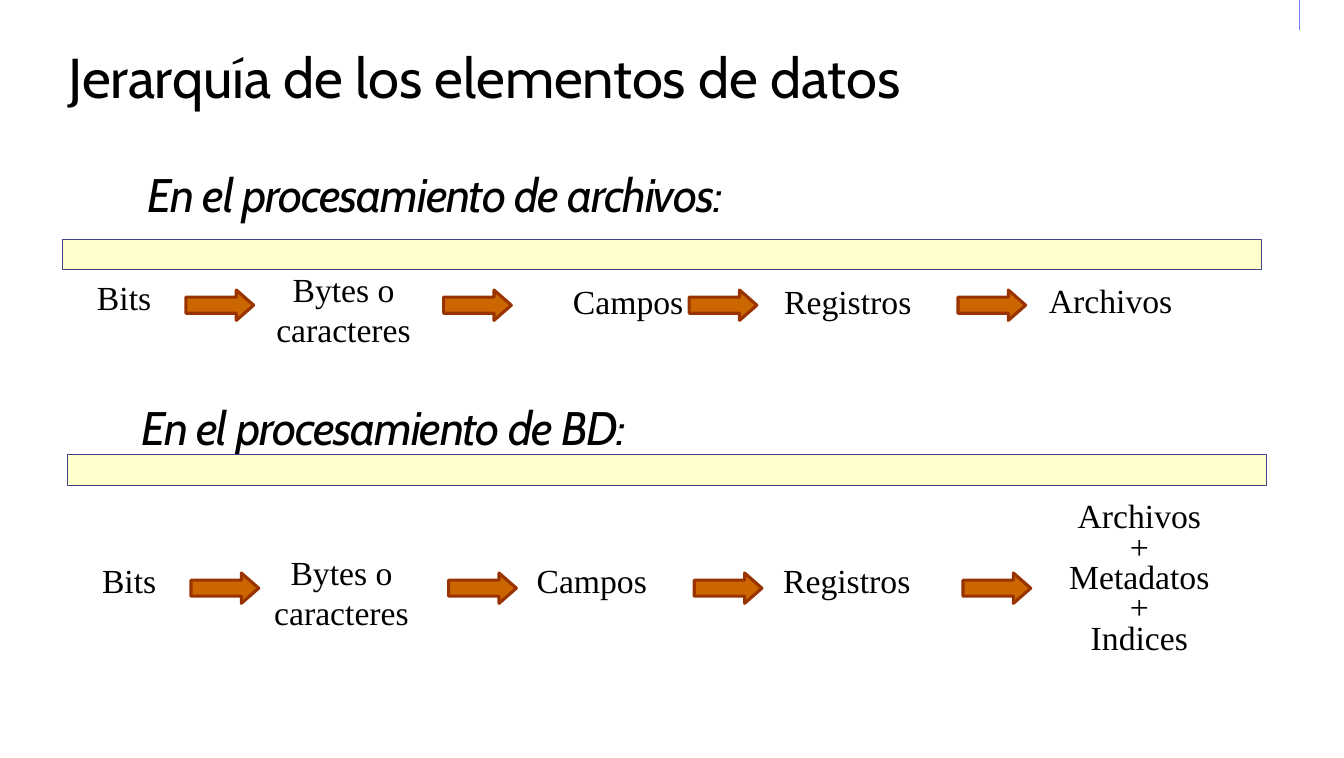
from pptx import Presentation
from pptx.dml.color import RGBColor
from pptx.enum.shapes import MSO_CONNECTOR, MSO_SHAPE
from pptx.enum.text import MSO_ANCHOR, MSO_AUTO_SIZE, PP_ALIGN
from pptx.oxml.ns import qn
from pptx.util import Emu, Pt
from lxml.etree import SubElement

EMU_PER_PX = 9144
BLACK = "000000"
BAR_SIZE = (1186, 30)
ARROW_SIZE = (67, 30)
ARROW_OFFSETS = (122, 377, 620, 886)

FRAME_FORMAT = {
    "margin_left": 0,
    "margin_top": 0,
    "margin_right": 0,
    "margin_bottom": 0,
    "word_wrap": True,
    "auto_size": MSO_AUTO_SIZE.NONE,
    "vertical_anchor": MSO_ANCHOR.TOP,
}
TITLE_FORMAT = {"name": "Cabin", "size": Pt(40)}
HEADING_FORMAT = {"name": "Cabin", "size": Pt(33.5), "italic": True}
LABEL_FORMAT = {"name": "Times New Roman", "size": Pt(24)}

SECTIONS = [
    {
        "heading": ("En el procesamiento de archivos:", (146, 164, 869, 56)),
        "bar": (62, 237),
        "arrow_top": 287,
        "labels": [
            (["Bits"], (96, 274, 75, 41), PP_ALIGN.LEFT),
            (["Bytes o caracteres"], (250, 266, 180, 81), PP_ALIGN.CENTER),
            (["Campos"], (567, 278, 149, 41), PP_ALIGN.LEFT),
            (["Registros"], (776, 278, 171, 41), PP_ALIGN.LEFT),
            (["Archivos"], (1038, 277, 166, 41), PP_ALIGN.LEFT),
        ],
    },
    {
        "heading": ("En el procesamiento de BD:", (140, 394, 729, 56)),
        "bar": (67, 450),
        "arrow_top": 567,
        "labels": [
            (["Bits"], (101, 554, 75, 41), PP_ALIGN.LEFT),
            (["Bytes o", "caracteres"], (248, 546, 180, 81), PP_ALIGN.CENTER),
            (["Campos"], (531, 554, 149, 41), PP_ALIGN.LEFT),
            (["Registros"], (775, 554, 171, 41), PP_ALIGN.LEFT),
        ],
    },
]
RESULT_LINES = ["Archivos", "+", "Metadatos", "+", "Indices"]
RESULT_SPACING = [Pt(25.2)] + [Pt(21.6)] * 4


def px(*lengths):
    return [Emu(length * EMU_PER_PX) for length in lengths]


def color(hex_string):
    return RGBColor.from_string(hex_string)


def apply_format(target, values):
    for name, value in values.items():
        setattr(target, name, value)


def write_text(shape, lines, font_format, alignment=PP_ALIGN.LEFT, tracking=0):
    frame = shape.text_frame
    apply_format(frame, FRAME_FORMAT)
    frame.text = "\n".join(lines)
    for paragraph in frame.paragraphs:
        paragraph.alignment = alignment
        for run in paragraph.runs:
            apply_format(run.font, font_format)
            run.font.color.rgb = color(BLACK)
            run._r.get_or_add_rPr().set("spc", str(tracking))


def add_title(slide, text, box):
    title = slide.shapes.title
    apply_format(title, dict(zip(("left", "top", "width", "height"), px(*box))))
    write_text(title, [text], TITLE_FORMAT, tracking=-8)


def add_text(slide, lines, box, font_format, alignment=PP_ALIGN.LEFT, tracking=0):
    shape = slide.shapes.add_textbox(*px(*box))
    write_text(shape, lines, font_format, alignment, tracking)
    return shape


def add_filled_shape(slide, kind, box, fill, line, line_width):
    shape = slide.shapes.add_shape(kind, *px(*box))
    shape.shadow.inherit = False
    shape.fill.solid()
    shape.fill.fore_color.rgb = color(fill)
    shape.line.color.rgb = color(line)
    shape.line.width = Pt(line_width)
    return shape


def add_bar(slide, left, top):
    add_filled_shape(slide, MSO_SHAPE.RECTANGLE, (left, top, *BAR_SIZE), "FFFFCC", "40458B", 0.75)


def add_arrow(slide, left, top):
    arrow = add_filled_shape(
        slide, MSO_SHAPE.RIGHT_ARROW, (left, top, *ARROW_SIZE), "CC6600", "993300", 2.25
    )
    arrow.adjustments[0] = 0.53
    arrow.adjustments[1] = 0.57


def add_corner_line(slide):
    line = slide.shapes.add_connector(MSO_CONNECTOR.STRAIGHT, *px(1286, 0, 1286, 30))
    line.line.color.rgb = color("6E88F7")
    line.line.width = Pt(0.75)
    SubElement(line._element.spPr, qn("a:effectLst"))


def add_section(slide, section):
    heading, heading_box = section["heading"]
    add_text(slide, [heading], heading_box, HEADING_FORMAT, tracking=-87)
    bar_left, bar_top = section["bar"]
    add_bar(slide, bar_left, bar_top)
    for lines, box, alignment in section["labels"]:
        add_text(slide, lines, box, LABEL_FORMAT, alignment)
    for offset in ARROW_OFFSETS:
        add_arrow(slide, bar_left + offset, section["arrow_top"])


def add_result(slide):
    shape = add_text(slide, RESULT_LINES, (1007, 495, 241, 159), LABEL_FORMAT, PP_ALIGN.CENTER)
    for paragraph, spacing in zip(shape.text_frame.paragraphs, RESULT_SPACING):
        paragraph.line_spacing = spacing


def main():
    presentation = Presentation()
    presentation.slide_width, presentation.slide_height = px(1330, 750)
    slide = presentation.slides.add_slide(presentation.slide_layouts[5])
    add_corner_line(slide)
    add_title(slide, "Jerarquía de los elementos de datos", (68, 42, 1197, 67))
    for section in SECTIONS:
        add_section(slide, section)
    add_result(slide)
    presentation.save("out.pptx")


if __name__ == "__main__":
    main()
